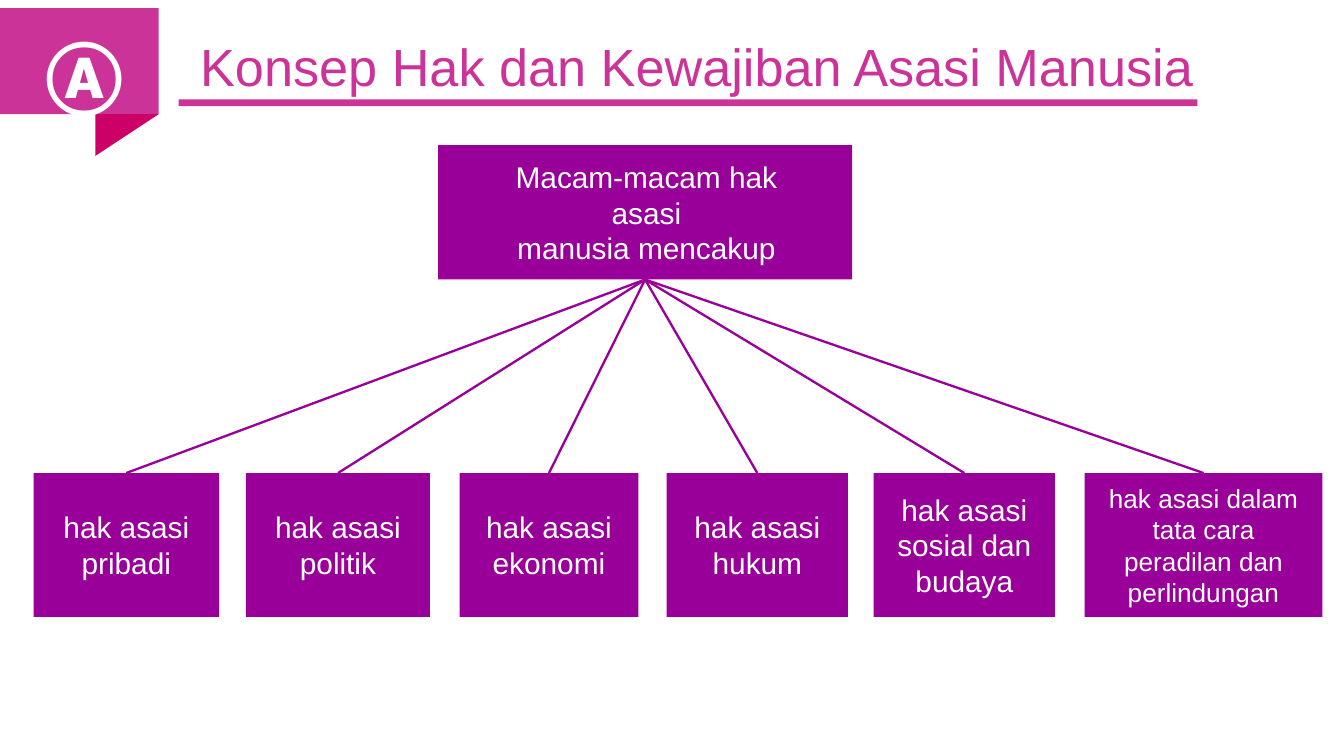
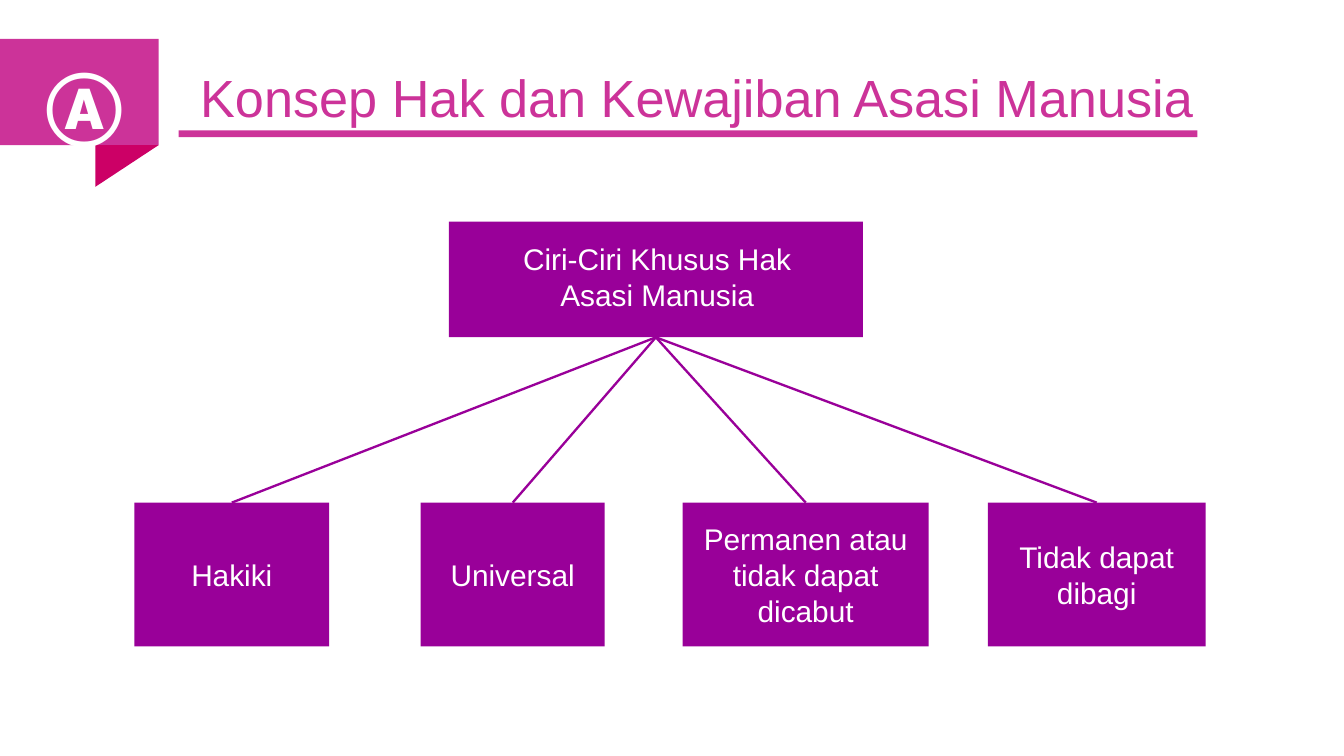
from dataclasses import dataclass

from lxml import etree
from pptx import Presentation
from pptx.dml.color import RGBColor
from pptx.enum import shapes as kinds, text as txt
from pptx.oxml.ns import qn
from pptx.util import Inches, Pt


@dataclass(frozen=True)
class Theme:
    """Colours, font and type sizes of the deck."""
    font: str = "Arial"
    pink: str = "CC3399"
    fold: str = "CC0066"
    node: str = "990099"
    white: str = "FFFFFF"
    title: int = 28
    badge: int = 40
    body: int = 16
    small: int = 14
    line: float = 1.25


THEME = Theme()
RECT = kinds.MSO_SHAPE.RECTANGLE
TITLE = "Konsep Hak dan Kewajiban Asasi Manusia"


def fit(shape, box):
    """Move a shape to a box given in inches."""
    shape.left, shape.top, shape.width, shape.height = map(Inches, box)


def write(shape, words, size, color, anchor, align, bold=False):
    """Set and format the text of a shape."""
    frame = shape.text_frame
    frame.text = words
    frame.word_wrap = True
    frame.auto_size = txt.MSO_AUTO_SIZE.NONE
    frame.vertical_anchor = anchor
    for para in frame.paragraphs:
        para.alignment = align
        para.line_spacing = 1.0
        para.space_before = Pt(0)
        for run in para.runs:
            font = run.font
            font.name, font.size, font.bold = THEME.font, Pt(size), bold
            font.color.rgb = RGBColor.from_string(color)


def pad(shape, left, right):
    """Set side margins and clear the upper and lower ones."""
    frame = shape.text_frame
    frame.margin_left, frame.margin_right = Inches(left), Inches(right)
    frame.margin_top = frame.margin_bottom = 0


def block(slide, box, color, kind=RECT):
    """Add a flat filled shape."""
    shape = slide.shapes.add_shape(kind, *map(Inches, box))
    shape.shadow.inherit = False
    shape.fill.solid()
    shape.fill.fore_color.rgb = RGBColor.from_string(color)
    shape.line.fill.background()
    return shape


def node(slide, box, words, size=THEME.body, anchor=txt.MSO_ANCHOR.MIDDLE):
    """Add a purple box with centred white text."""
    shape = block(slide, box, THEME.node)
    write(shape, words, size, THEME.white, anchor, txt.PP_ALIGN.CENTER)
    return shape


def link(slide, root, leaf):
    """Join the foot of the root to the top of a leaf."""
    line = slide.shapes.add_connector(kinds.MSO_CONNECTOR.STRAIGHT, 0, 0, 0, 0)
    line.begin_connect(root, 2)
    line.end_connect(leaf, 0)
    line.line.color.rgb = RGBColor.from_string(THEME.node)
    line.line.width = Pt(THEME.line)
    etree.SubElement(line._element.spPr, qn("a:effectLst"))


def header(slide, top):
    """Add the badge, title and rule, starting at the given height."""
    block(slide, (0, top, 1.18, 0.79), THEME.pink)
    fold = block(slide, (0.79, top + 0.71, 0.31, 0.47), THEME.fold,
                 kinds.MSO_SHAPE.RIGHT_TRIANGLE)
    fold.rotation = 90
    title = slide.shapes.title
    fit(title, (1.31, top + 0.01, 8.26, 0.65))
    write(title, TITLE, THEME.title, THEME.pink,
          txt.MSO_ANCHOR.BOTTOM, txt.PP_ALIGN.LEFT)
    pad(title, 0.18, 0.18)
    block(slide, (1.33, top + 0.68, 7.58, 0.05), THEME.pink)
    box = (0.17, top + 0.13, 0.78, 0.64)
    badge = slide.shapes.add_textbox(*map(Inches, box))
    write(badge, "Ⓐ", THEME.badge, THEME.white,
          txt.MSO_ANCHOR.MIDDLE, txt.PP_ALIGN.CENTER, True)
    pad(badge, 0.14, 0)


def tree(slide, back, label, words, row, leaves):
    """Add a root box with a row of linked leaves."""
    root = block(slide, back, THEME.node)
    node(slide, label, words, anchor=txt.MSO_ANCHOR.TOP)
    for left, width, name, *size in leaves:
        leaf = node(slide, (left, row, width, 1.07), name, *size)
        link(slide, root, leaf)


def main():
    """Build and save the deck."""
    deck = Presentation()
    deck.slide_width = Inches(10)
    deck.slide_height = deck.slide_width * 9 // 16
    plain = deck.slide_layouts[5]

    types = deck.slides.add_slide(plain)
    header(types, 0.06)
    tree(types, (3.26, 1.08, 3.08, 1), (3.46, 1.13, 2.7, 0.91),
         "Macam-macam hak asasi\nmanusia mencakup", 3.52, [
             (0.25, 1.38, "hak asasi pribadi"),
             (1.83, 1.37, "hak asasi politik"),
             (3.42, 1.33, "hak asasi ekonomi"),
             (4.96, 1.35, "hak asasi hukum"),
             (6.5, 1.35, "hak asasi sosial dan\nbudaya"),
             (8.07, 1.77, "hak asasi dalam tata cara\n"
              "peradilan dan perlindungan", THEME.small)])

    traits = deck.slides.add_slide(plain)
    header(traits, 0.29)
    tree(traits, (3.34, 1.65, 3.08, 0.86), (3.54, 1.74, 2.7, 0.64),
         "Ciri-Ciri Khusus Hak Asasi Manusia", 3.74, [
             (1, 1.45, "Hakiki"),
             (3.13, 1.37, "Universal"),
             (5.08, 1.83, "Permanen atau tidak dapat\ndicabut"),
             (7.35, 1.62, "Tidak dapat dibagi")])

    deck.save("out.pptx")


if __name__ == "__main__":
    main()
